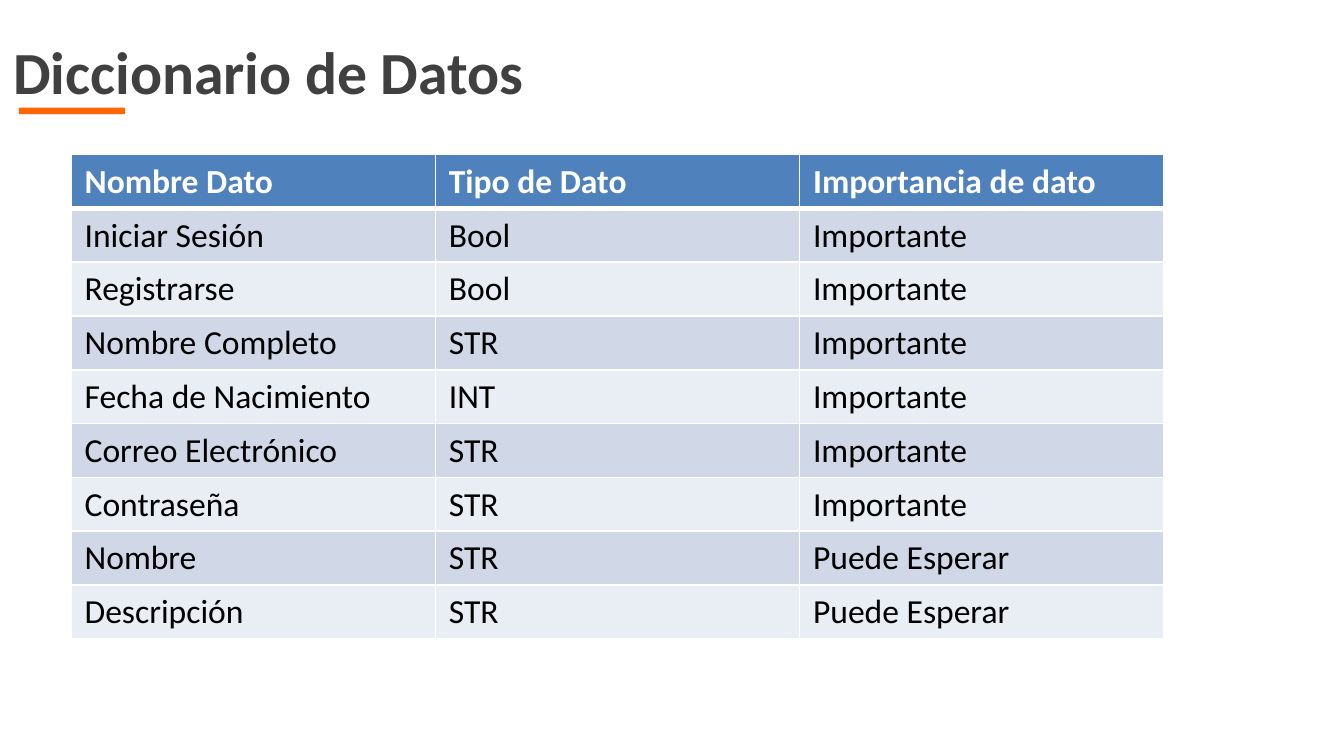
from lxml import etree
from pptx import Presentation
from pptx.dml.color import RGBColor
from pptx.enum.shapes import MSO_SHAPE
from pptx.enum.text import MSO_AUTO_SIZE
from pptx.oxml.ns import qn
from pptx.util import Inches, Pt

RECTANGLE = MSO_SHAPE.RECTANGLE
GROW = MSO_AUTO_SIZE.SHAPE_TO_FIT_TEXT

WHITE = RGBColor(0xFF, 0xFF, 0xFF)
BLACK = RGBColor(0, 0, 0)
GRAY = RGBColor(0x40, 0x40, 0x40)
ORANGE = RGBColor(0xFF, 0x66, 0x00)
BLUE = RGBColor(0x4F, 0x81, 0xBD)
BANDS = (RGBColor(0xD0, 0xD8, 0xE8), RGBColor(0xE9, 0xED, 0xF4))

TITLE_FORMAT = {"name": "Calibri", "size": Pt(32), "bold": True}
HEADER_FORMAT = {"name": "Calibri", "size": Pt(18), "bold": True}
BODY_FORMAT = {**HEADER_FORMAT, "bold": False}

ROWS = [
    ("Nombre Dato", "Tipo de Dato", "Importancia de dato"),
    ("Iniciar Sesión", "Bool", "Importante"),
    ("Registrarse", "Bool", "Importante"),
    ("Nombre Completo", "STR", "Importante"),
    ("Fecha de Nacimiento", "INT", "Importante"),
    ("Correo Electrónico", "STR", "Importante"),
    ("Contraseña", "STR", "Importante"),
    ("Nombre", "STR", "Puede Esperar"),
    ("Descripción", "STR", "Puede Esperar"),
]


def write(para, text, color, font_format):
    span = para.add_run()
    span.text = text
    for name, value in font_format.items():
        setattr(span.font, name, value)
    span.font.color.rgb = color


def set_borders(cell, widths):
    """Draw white cell borders; widths maps each side's tag to points."""
    properties = cell._tc.get_or_add_tcPr()
    for position, (side, width) in enumerate(widths.items()):
        line = etree.Element(qn(f"a:{side}"), w=str(Pt(width)))
        fill = etree.SubElement(line, qn("a:solidFill"))
        etree.SubElement(fill, qn("a:srgbClr"), val=str(WHITE))
        properties.insert(position, line)


def add_title(page, left, top, width, height):
    # Accent bar under the title
    bar = page.shapes.add_shape(
        RECTANGLE, Inches(left + 0.14), Inches(top + 0.59), Inches(0.79), Inches(0.05))
    bar.shadow.inherit = False
    bar.fill.solid()
    bar.fill.fore_color.rgb = ORANGE
    bar.line.fill.background()

    # Title text
    box = page.shapes.add_textbox(Inches(left), Inches(top), Inches(width), Inches(height))
    box.text_frame.word_wrap = True
    box.text_frame.auto_size = GROW
    write(box.text_frame.paragraphs[0], "Diccionario de Datos", GRAY, TITLE_FORMAT)


def add_dictionary(page, left, top, width, height):
    table = page.shapes.add_table(
        len(ROWS), len(ROWS[0]),
        Inches(left), Inches(top), Inches(width), Inches(height)).table

    for row, texts in enumerate(ROWS):
        is_header = row == 0
        # A thick rule separates the header from the body
        widths = {"lnL": 1, "lnR": 1,
                  "lnT": 3 if row == 1 else 1, "lnB": 3 if is_header else 1}
        for column, text in enumerate(texts):
            cell = table.cell(row, column)
            cell.fill.solid()
            cell.fill.fore_color.rgb = BLUE if is_header else BANDS[(row - 1) % 2]
            write(cell.text_frame.paragraphs[0], text,
                  WHITE if is_header else BLACK,
                  HEADER_FORMAT if is_header else BODY_FORMAT)
            set_borders(cell, widths)


def main():
    deck = Presentation()
    # Widescreen, 16:9
    deck.slide_width = Inches(10)
    deck.slide_height = deck.slide_width * 9 // 16
    page = deck.slides.add_slide(deck.slide_layouts[6])
    add_title(page, 0, 0.21, 4.31, 0.64)
    add_dictionary(page, 0.53, 1.15, 8.13, 3.6)
    deck.save("out.pptx")


if __name__ == "__main__":
    main()
